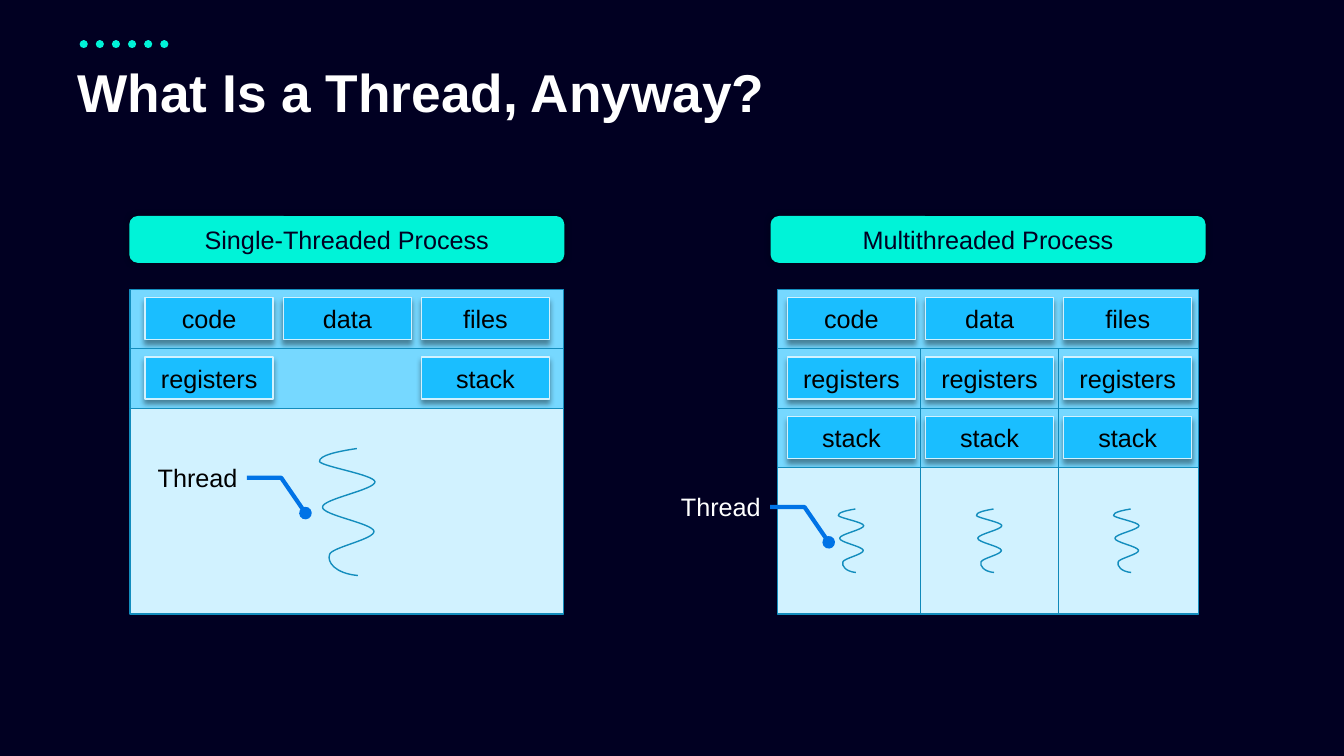
from lxml.etree import SubElement
from pptx import Presentation
from pptx.dml.color import RGBColor
from pptx.enum.dml import MSO_LINE
from pptx.enum.shapes import MSO_CONNECTOR, MSO_SHAPE
from pptx.enum.text import MSO_ANCHOR, PP_ALIGN
from pptx.oxml.ns import qn
from pptx.util import Inches, Pt

TITLE = "What Is a Thread, Anyway?"
THREAD_LABEL = "Thread"
PROCESSES = [
    dict(name="Single-Threaded Process", header_left=1.29, left=1.29, width=4.3, margin=0.15,
         rows=[["code", "data", "files"], ["registers", "", "stack"]],
         threads=[(3.16, 4.45)], thread_scale=(1, 1), dividers=0,
         callout=(2.47, 4.74), label_color="000000"),
    dict(name="Multithreaded Process", header_left=7.65, left=7.71, width=4.18, margin=0.1,
         rows=[["code", "data", "files"], ["registers"] * 3, ["stack"] * 3],
         threads=[(8.31, 5.05), (9.68, 5.05), (11.04, 5.05)], thread_scale=(0.46, 0.5), dividers=2,
         callout=(7.66, 5.03), label_color="FFFFFF"),
]
THREAD_KNOTS = [
    (0.38, 0),
    (0.18, 0.03), (0, 0.07), (0.01, 0.13),
    (0.04, 0.18), (0.55, 0.26), (0.56, 0.33),
    (0.56, 0.41), (0.04, 0.5), (0.04, 0.58),
    (0.03, 0.66), (0.53, 0.74), (0.55, 0.82),
    (0.56, 0.9), (0.13, 0.98), (0.11, 1.05),
    (0.08, 1.13), (0.17, 1.24), (0.39, 1.26),
]
CALLOUT_STEPS = [(0, 0), (0.32, 0), (0.56, 0.35)]

NAVY, TEAL, WHITE, BLACK = "010022", "00F3D8", "FFFFFF", "000000"
SKY, ICE, CARD_BLUE = "76D8FF", "D1F2FF", "1ABEFF"
EDGE, DIVIDER, CALLOUT_BLUE = "138DBD", "1089B9", "0073E6"
GRID_TOP, GRID_BOTTOM, ROW = 2.87, 6.09, 0.59
CARD_WIDTH, CARD_HEIGHT, COLUMN = 1.27, 0.42, 1.37

prs = Presentation()
prs.slide_width, prs.slide_height = Inches(13.33), Inches(7.5)
slide = prs.slides.add_slide(prs.slide_layouts[6])


def rgb(color):
    """Turn a hex string into a colour."""
    return RGBColor.from_string(color)


def style_line(line, color, width):
    """Set a line's colour and width in points."""
    line.color.rgb = rgb(color)
    line.width = Pt(width)


def write(shape, text, size, color, align=PP_ALIGN.CENTER, insets=(0.1, 0.05, 0.1, 0.05)):
    """Put one paragraph into a shape and return the paragraph."""
    frame = shape.text_frame
    frame.word_wrap = True
    frame.margin_left, frame.margin_top, frame.margin_right, frame.margin_bottom = map(Inches, insets)
    paragraph = frame.paragraphs[0]
    paragraph.text, paragraph.alignment = text, align
    paragraph.font.name, paragraph.font.size = "Arial", Pt(size)
    paragraph.font.color.rgb = rgb(color)
    return paragraph


def add_text(box, *text, **options):
    """Add a text box and return its paragraph."""
    return write(slide.shapes.add_textbox(*map(Inches, box)), *text, **options)


def add_box(kind, box, fill, edge):
    """Add a filled preset shape without a shadow."""
    shape = slide.shapes.add_shape(kind, *map(Inches, box))
    shape.shadow.inherit = False
    shape.fill.solid()
    shape.fill.fore_color.rgb = rgb(fill)
    style_line(shape.line, edge, 1)
    return shape


def add_raised_box(kind, box, fill, edge, blur, distance, text, color, insets):
    """Add a labelled shape with a soft shadow."""
    shape = add_box(kind, box, fill, edge)
    effects = shape.element.spPr.find(qn("a:effectLst"))
    shadow = SubElement(effects, qn("a:outerShdw"), blurRad=str(Pt(blur)), dist=str(Pt(distance)),
                        dir="5400000", algn="ctr", rotWithShape="0")
    shadow_color = SubElement(shadow, qn("a:srgbClr"), val=BLACK)
    SubElement(shadow_color, qn("a:alpha"), val="40000")
    write(shape, text, 18, color, insets=insets)
    shape.text_frame.vertical_anchor = MSO_ANCHOR.MIDDLE


def add_line(start, end, color, width):
    """Add a straight line without a shadow."""
    line = slide.shapes.add_connector(MSO_CONNECTOR.STRAIGHT, *map(Inches, start + end))
    style_line(line.line, color, width)
    SubElement(line.element.spPr, qn("a:effectLst"))
    return line


def add_outline(points, origin, scale, color, width):
    """Add an open, unfilled outline from points relative to an origin."""
    corners = [tuple(Inches(o + p * s) for o, p, s in zip(origin, point, scale)) for point in points]
    builder = slide.shapes.build_freeform(*corners[0])
    builder.add_line_segments(corners[1:], close=False)
    outline = builder.convert_to_shape()
    outline.shadow.inherit = False
    outline.fill.background()
    style_line(outline.line, color, width)
    return outline


def add_thread(origin, scale):
    """Add a wavy thread, joining every three segments into one cubic curve."""
    thread = add_outline(THREAD_KNOTS, origin, scale, EDGE, 1)
    segments = list(thread.element.iter(qn("a:lnTo")))
    for first in range(0, len(segments), 3):
        curve = SubElement(segments[first].getparent(), qn("a:cubicBezTo"))
        for segment in segments[first:first + 3]:
            curve.append(segment[0])
            segment.getparent().remove(segment)


def add_callout(origin, color):
    """Add the thread label and its bent pointer with a round end."""
    x, y = origin
    add_text((x - 1.03, y - 0.2, 1.04, 0.4), THREAD_LABEL, 18, color)
    pointer = add_outline(CALLOUT_STEPS, origin, (1, 1), CALLOUT_BLUE, 3)
    stroke = pointer.element.spPr.find(qn("a:ln"))
    stroke.set("cap", "sq")
    SubElement(stroke, qn("a:tailEnd"), type="oval")


def add_process(process):
    """Draw one process: header, grid of cards, threads and callout."""
    left, width, rows = process["left"], process["width"], process["rows"]
    add_raised_box(MSO_SHAPE.ROUNDED_RECTANGLE, (process["header_left"], 2.15, 4.3, 0.45), TEAL, TEAL,
                   5, 0, process["name"], NAVY, (0.03, 0.05, 0.03, 0.05))
    first_card = left + process["margin"]
    for row, names in enumerate(rows):
        top = GRID_TOP + row * ROW
        add_box(MSO_SHAPE.RECTANGLE, (left, top, width, ROW), SKY, EDGE)
        for column, name in enumerate(names):
            if name:
                card = (first_card + column * COLUMN, top + 0.08, CARD_WIDTH, CARD_HEIGHT)
                add_raised_box(MSO_SHAPE.RECTANGLE, card, CARD_BLUE, ICE, 4, 3, name, BLACK, (0.1,) * 4)
    thread_top = GRID_TOP + len(rows) * ROW
    add_box(MSO_SHAPE.RECTANGLE, (left, thread_top, width, GRID_BOTTOM - thread_top), ICE, EDGE)
    for origin in process["threads"]:
        add_thread(origin, process["thread_scale"])
    for gap in range(process["dividers"]):
        x = first_card + CARD_WIDTH + 0.05 + gap * COLUMN
        add_line((x, GRID_TOP + ROW), (x, GRID_BOTTOM), DIVIDER, 1)
    add_callout(process["callout"], process["label_color"])


def main():
    """Build and save the slide."""
    slide.background.fill.solid()
    slide.background.fill.fore_color.rgb = rgb(NAVY)
    dots = add_line((0.83, 0.44), (1.67, 0.44), TEAL, 5.75)
    dots.line.dash_style = MSO_LINE.ROUND_DOT
    dots.element.spPr.find(qn("a:ln")).set("cap", "rnd")
    title = add_text((0.67, 0.61, 7.09, 0.93), TITLE, 38, WHITE,
                     align=PP_ALIGN.LEFT, insets=(0.1, 0.05, 0.1, 0.3))
    title.font.bold, title.line_spacing = True, 0.9
    for process in PROCESSES:
        add_process(process)
    prs.save("out.pptx")


if __name__ == "__main__":
    main()
